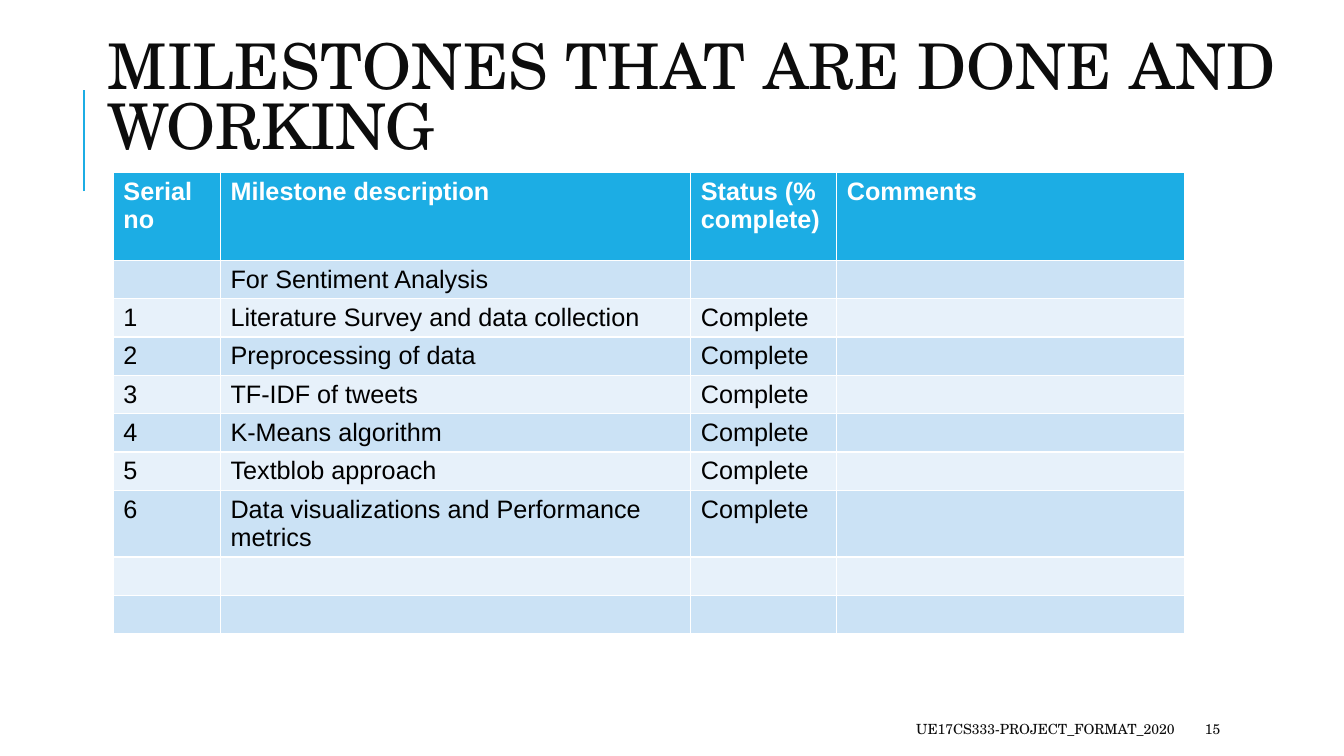
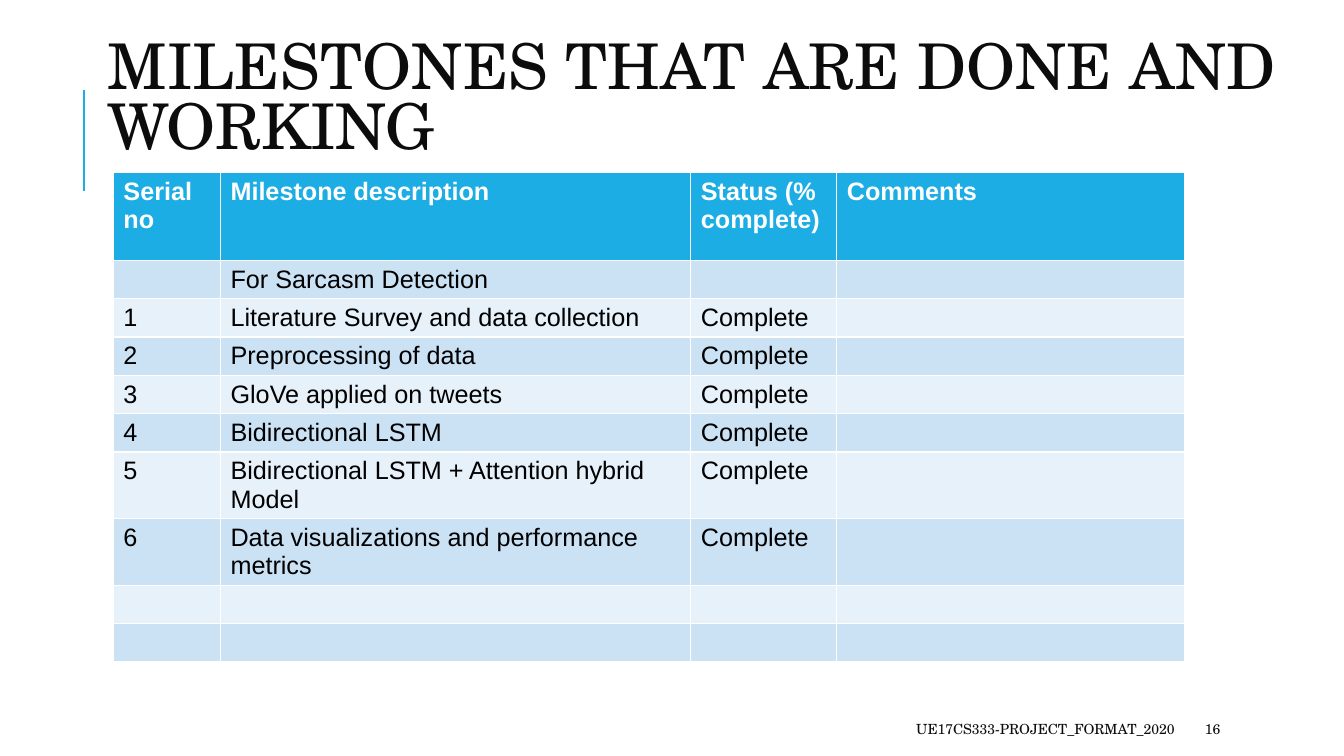
from lxml import etree
from pptx import Presentation
from pptx import util as u
from pptx.dml.color import RGBColor
from pptx.enum import shapes, text
from pptx.oxml.ns import qn

PX = 9525  # 96 px to the inch
SERIF, SANS = "TeX Gyre Schola", "Arial"
BLUE = RGBColor(0x1C, 0xAD, 0xE4)
BAND_DARK = RGBColor(0xCB, 0xE2, 0xF5)
BAND_LIGHT = RGBColor(0xE7, 0xF1, 0xFA)
INK = RGBColor(0x0C, 0x0C, 0x0C)
BLACK = RGBColor(0, 0, 0)
WHITE = RGBColor(0xFF, 0xFF, 0xFF)

TITLE = "MILESTONES THAT ARE DONE AND WORKING"
FOOTER = "UE17CS333-PROJECT_FORMAT_2020"
HEADERS = ["Serial no", "Milestone description", "Status (% complete)", "Comments"]
COLUMN_WIDTHS = [102, 448, 139, 331]
HEADER_HEIGHT, ROW_HEIGHT, BLANK_ROWS = 84, 26, 2

# Page number, topic and milestones of each slide
PAGES = [
    (15, "For Sentiment Analysis", [
        "Literature Survey and data collection",
        "Preprocessing of data",
        "TF-IDF of tweets",
        "K-Means algorithm",
        "Textblob approach",
        "Data visualizations and Performance metrics",
    ]),
    (16, "For Sarcasm Detection", [
        "Literature Survey and data collection",
        "Preprocessing of data",
        "GloVe applied on tweets",
        "Bidirectional LSTM",
        "Bidirectional LSTM + Attention hybrid Model",
        "Data visualizations and performance metrics",
    ]),
]


def write(frame, words, size=18, font=SANS, color=BLACK, bold=False,
          align=text.PP_ALIGN.LEFT, spacing=None):
    para = frame.paragraphs[0]
    para.alignment = align
    para.line_spacing = spacing
    if not words:  # an empty cell keeps the line height of its font
        end = etree.SubElement(para._p, qn("a:endParaRPr"), sz=str(size * 100))
        etree.SubElement(end, qn("a:latin"), typeface=font)
        return
    span = para.add_run()
    span.text = words
    span.font.size = u.Pt(size)
    span.font.name = font
    span.font.bold = bold
    span.font.color.rgb = color


deck = Presentation()
deck.slide_width, deck.slide_height = 1280 * PX, 720 * PX
title_only = deck.slide_layouts[5]

for number, topic, milestones in PAGES:
    page = deck.slides.add_slide(title_only)

    # Accent line beside the title
    accent = page.shapes.add_connector(
        shapes.MSO_CONNECTOR.STRAIGHT, 80 * PX, 182 * PX, 80 * PX, 86 * PX)
    accent.line.color.rgb = BLUE
    accent.line.width = u.Pt(1.5)
    etree.SubElement(accent._element.spPr, qn("a:effectLst"))

    # Title
    title = page.shapes.title
    title.left, title.top, title.width, title.height = (
        93 * PX, 18 * PX, 1172 * PX, 157 * PX)
    title.text_frame.auto_size = text.MSO_AUTO_SIZE.NONE
    title.text_frame.vertical_anchor = text.MSO_ANCHOR.MIDDLE
    write(title.text_frame, TITLE, size=45, font=SERIF, color=INK, spacing=0.8)

    # Milestone table
    rows = [HEADERS, ["", topic, "", ""]]
    rows += [[str(serial), milestone, "Complete", ""]
             for serial, milestone in enumerate(milestones, 1)]
    rows += [[""] * len(HEADERS)] * BLANK_ROWS
    heights = [HEADER_HEIGHT] + [ROW_HEIGHT] * (len(rows) - 1)
    table = page.shapes.add_table(
        len(rows), len(HEADERS), 108 * PX, 164 * PX,
        sum(COLUMN_WIDTHS) * PX, sum(heights) * PX).table
    for column, width in zip(table.columns, COLUMN_WIDTHS):
        column.width = width * PX
    for r, (row, height) in enumerate(zip(rows, heights)):
        table.rows[r].height = height * PX
        band = BLUE if r == 0 else BAND_DARK if r % 2 else BAND_LIGHT
        for c, words in enumerate(row):
            cell = table.cell(r, c)
            cell.fill.solid()
            cell.fill.fore_color.rgb = band
            write(cell.text_frame, words, bold=r == 0, color=BLACK if r else WHITE)

    # Footer and page number
    for left, width, words, align in [
        (509, 619, FOOTER, text.PP_ALIGN.RIGHT),
        (1138, 102, str(number), text.PP_ALIGN.LEFT),
    ]:
        box = page.shapes.add_textbox(left * PX, 680 * PX, width * PX, 29 * PX)
        box.text_frame.word_wrap = True
        box.text_frame.vertical_anchor = text.MSO_ANCHOR.MIDDLE
        write(box.text_frame, words, size=10, font=SERIF, color=INK, align=align)

deck.save("out.pptx")
